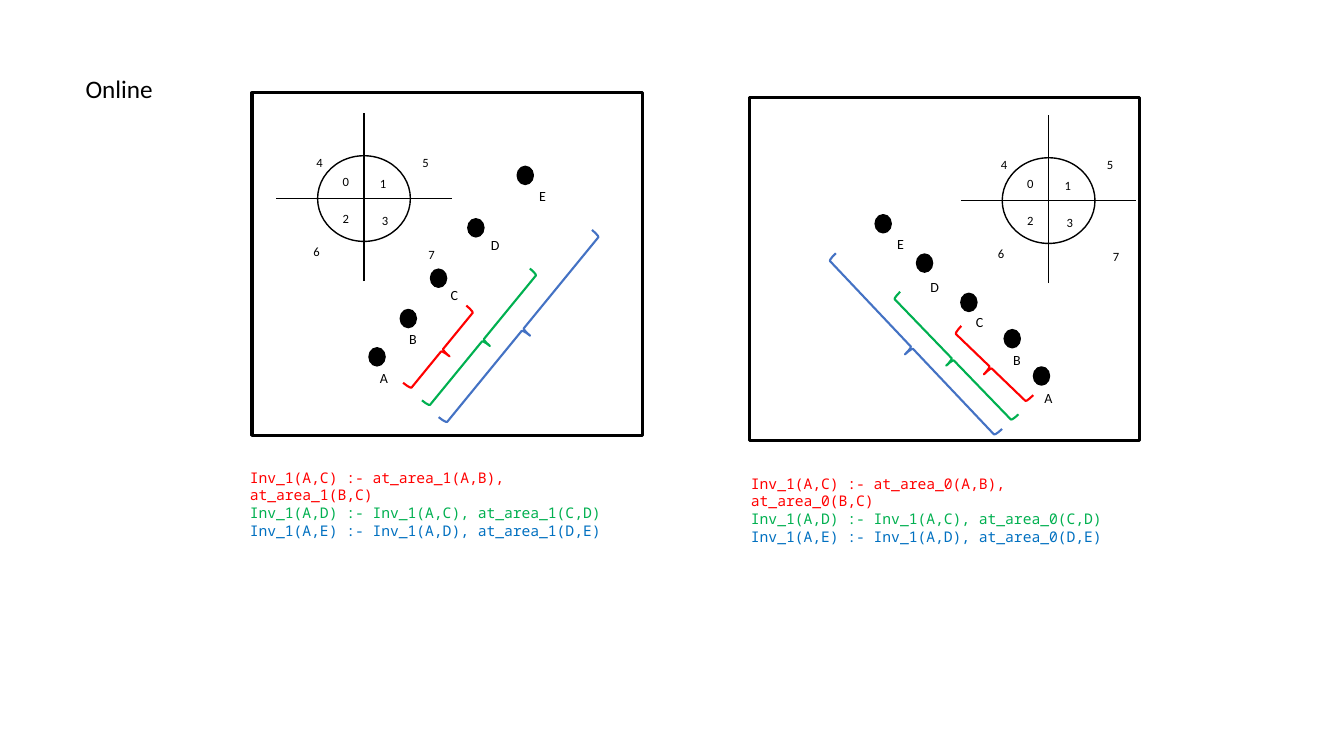
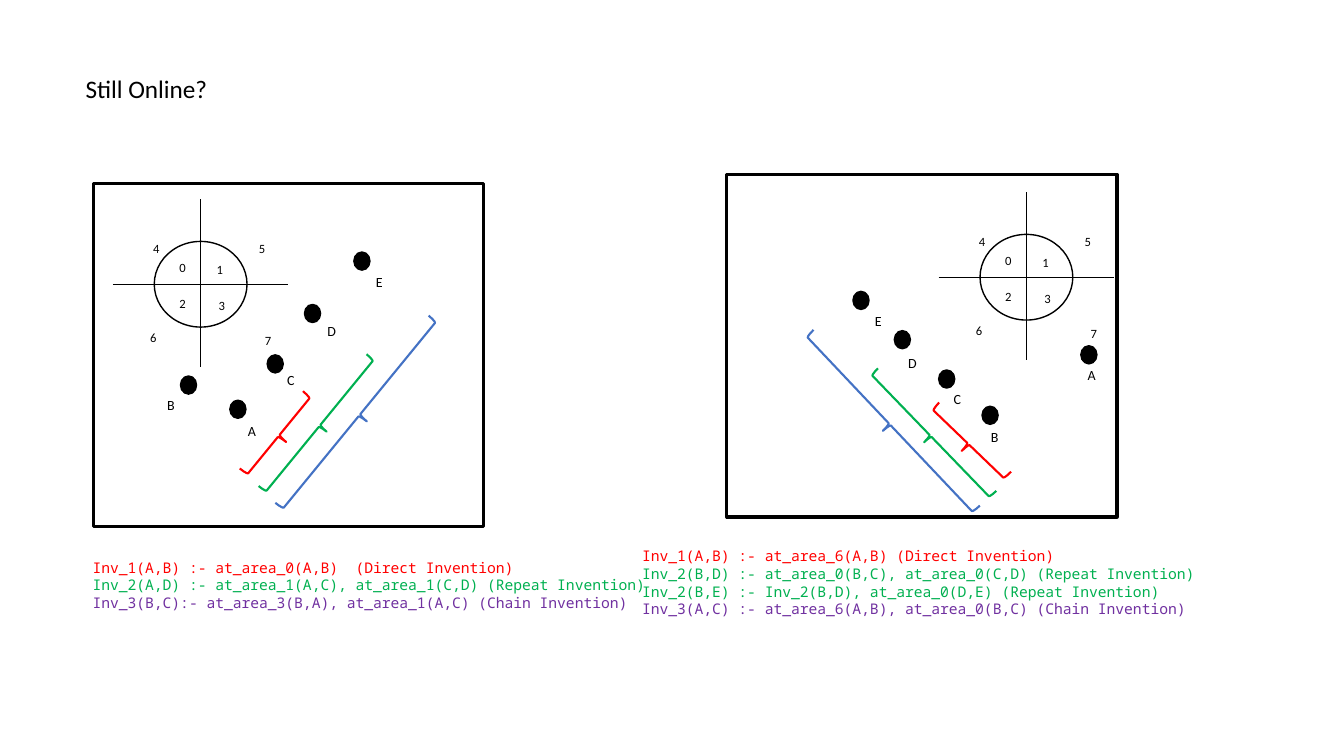
from lxml import etree
from pptx import Presentation
from pptx.dml.color import RGBColor
from pptx.enum.shapes import MSO_CONNECTOR as CONN, MSO_SHAPE as SHAPE
from pptx.enum.text import MSO_AUTO_SIZE as AUTO
from pptx.oxml.ns import qn
from pptx.util import Inches, Pt

COLORS = {"black": "000000", "red": "FF0000", "green": "00B050",
          "blue": "0070C0", "purple": "7030A0", "brace": "4472C4"}
STYLES = {
    "title": {"size": Pt(18), "name": "Calibri"},
    "rule": {"size": Pt(10.5), "name": "Noto Sans Mono"},
    "area": {"size": Pt(9), "name": "Calibri"},
    "point": {"size": Pt(10), "name": "Calibri"},
}
FRAME_SIZE = (3.87, 3.4)
DOT_SIZE = (0.16, 0.18)
RING_SIZE = (0.92, 0.85)

# Offsets inside a panel run from the centre of its compass
AREAS = [(-0.31, -0.29), (0.06, -0.27), (-0.31, 0.07), (0.08, 0.09),
         (-0.57, -0.48), (0.48, -0.48), (-0.60, 0.40), (0.54, 0.43)]
AXES = [(-0.87, 0, 0.87, 0), (0, 0.82, 0, -0.85)]

# Point: dot offset, label offset
RISING = {
    "A": (0.05, 1.48, 0.06, 1.65), "B": (0.36, 1.10, 0.35, 1.26),
    "C": (0.66, 0.70, 0.76, 0.82), "D": (1.03, 0.20, 1.16, 0.33),
    "E": (1.52, -0.32, 1.64, -0.16),
}
FALLING = {
    "A": (-0.15, 1.65, -0.14, 1.82), "B": (-0.44, 1.28, -0.45, 1.45),
    "C": (-0.87, 0.92, -0.82, 1.07), "D": (-1.31, 0.53, -1.27, 0.72),
    "E": (-1.72, 0.14, -1.60, 0.30),
}
RISING_MOVED = {**RISING, "A": (0.29, 1.15, 0.37, 1.32),
                "B": (-0.20, 0.91, -0.43, 1.06)}
FALLING_MOVED = {**FALLING, "A": (0.54, 0.68, 0.51, 0.84)}

# Braces: colour, width, height; then offset and rotation per direction
BRACES = [("red", 0.19, 0.99), ("green", 0.18, 1.69), ("brace", 0.19, 2.4)]
RISING_BRACES = [(0.68, 1.01, 219.3), (1.09, 0.56, 219.3), (1.48, 0.10, 219.3)]
FALLING_BRACES = [(-0.67, 1.16, 313.9), (-1.04, 0.73, 316), (-1.45, 0.26, 316.6)]

SLIDES = [
    {"title": ("Online", 0.88), "panels": [
        {"center": (3.61, 1.97), "frame": (2.5, 0.92),
         "points": RISING, "braces": RISING_BRACES,
         "box": (2.38, 4.6, 3.99, 0.98), "rules": [
             ("red", "Inv_1(A,C) :- at_area_1(A,B), at_area_1(B,C)"),
             ("green", "Inv_1(A,D) :- Inv_1(A,C), at_area_1(C,D)"),
             ("blue", "Inv_1(A,E) :- Inv_1(A,D), at_area_1(D,E)")]},
        {"center": (10.4, 1.99), "frame": (7.43, 0.97),
         "points": FALLING, "braces": FALLING_BRACES,
         "box": (7.35, 4.66, 3.99, 0.63), "rules": [
             ("red", "Inv_1(A,C) :- at_area_0(A,B), at_area_0(B,C)"),
             ("green", "Inv_1(A,D) :- Inv_1(A,C), at_area_0(C,D)"),
             ("blue", "Inv_1(A,E) :- Inv_1(A,D), at_area_0(D,E)")]},
    ]},
    {"title": ("Still Online?", 1.43), "panels": [
        {"center": (1.99, 2.82), "frame": (0.93, 1.82),
         "points": RISING_MOVED, "braces": RISING_BRACES,
         "box": (0.82, 5.49, 5.92, 0.63), "rules": [
             ("red", "Inv_1(A,B) :- at_area_0(A,B)  (Direct Invention)"),
             ("green", "Inv_2(A,D) :- at_area_1(A,C), at_area_1(C,D) (Repeat Invention)"),
             ("purple", "Inv_3(B,C):- at_area_3(B,A), at_area_1(A,C) (Chain Invention)")]},
        {"center": (10.18, 2.75), "frame": (7.21, 1.73),
         "points": FALLING_MOVED, "braces": FALLING_BRACES,
         "box": (6.27, 5.38, 6, 0.98), "rules": [
             ("red", "Inv_1(A,B) :- at_area_6(A,B) (Direct Invention)"),
             ("green", "Inv_2(B,D) :- at_area_0(B,C), at_area_0(C,D) (Repeat Invention)"),
             ("green", "Inv_2(B,E) :- Inv_2(B,D), at_area_0(D,E) (Repeat Invention)"),
             ("purple", "Inv_3(A,C) :- at_area_6(A,B), at_area_0(B,C) (Chain Invention)")]},
    ]},
]


def rgb(color):
    return RGBColor.from_string(COLORS[color])


def add_text(shapes, box, lines, style, wrap=False):
    tf = shapes.add_textbox(*map(Inches, box)).text_frame
    tf.word_wrap = wrap
    tf.auto_size = AUTO.SHAPE_TO_FIT_TEXT
    for i, (color, text) in enumerate(lines):
        p = tf.paragraphs[0] if i == 0 else tf.add_paragraph()
        r = p.add_run()
        r.text = text
        for key, value in STYLES[style].items():
            setattr(r.font, key, value)
        r.font.color.rgb = rgb(color)


def add_outline(shapes, kind, box, color="black", width=1, fill=None, rotation=0):
    sp = shapes.add_shape(kind, *map(Inches, box))
    sp.shadow.inherit = False
    sp.rotation = rotation
    sp.line.color.rgb = rgb(color)
    sp.line.width = Pt(width)
    if fill:
        sp.fill.solid()
        sp.fill.fore_color.rgb = rgb(fill)
    else:
        sp.fill.background()


def add_axis(shapes, ends):
    line = shapes.add_connector(CONN.STRAIGHT, *map(Inches, ends))
    line.line.color.rgb = rgb("black")
    line.line.width = Pt(1)
    etree.SubElement(line._element.spPr, qn("a:effectLst"))


def add_panel(s, panel):
    cx, cy = panel["center"]
    add_text(s.shapes, panel["box"], panel["rules"], "rule", wrap=True)
    shapes = s.shapes.add_group_shape().shapes

    # Compass with numbered areas
    for x1, y1, x2, y2 in AXES:
        add_axis(shapes, (cx + x1, cy + y1, cx + x2, cy + y2))
    w, h = RING_SIZE
    add_outline(shapes, SHAPE.OVAL, (cx - w / 2, cy - h / 2, w, h))
    for i, (x, y) in enumerate(AREAS):
        add_text(shapes, (cx + x, cy + y, 0.27, 0.25), [("black", str(i))], "area")

    # Labelled points
    for name, (x, y, label_x, label_y) in panel["points"].items():
        add_outline(shapes, SHAPE.OVAL, (cx + x, cy + y, *DOT_SIZE), fill="black")
        add_text(shapes, (cx + label_x, cy + label_y, 0.37, 0.38),
                 [("black", name)], "point")

    # Frame and braces
    add_outline(shapes, SHAPE.RECTANGLE, (*panel["frame"], *FRAME_SIZE), width=2.25)
    for (color, w, h), (x, y, rotation) in zip(BRACES, panel["braces"]):
        add_outline(shapes, SHAPE.LEFT_BRACE, (cx + x, cy + y, w, h),
                    color, 1.5, rotation=rotation)


def main():
    prs = Presentation()
    prs.slide_width, prs.slide_height = Inches(13.33), Inches(7.5)
    for content in SLIDES:
        s = prs.slides.add_slide(prs.slide_layouts[6])
        title, width = content["title"]
        add_text(s.shapes, (0.75, 0.68, width, 0.4), [("black", title)], "title")
        for panel in content["panels"]:
            add_panel(s, panel)
    prs.save("out.pptx")


if __name__ == "__main__":
    main()
